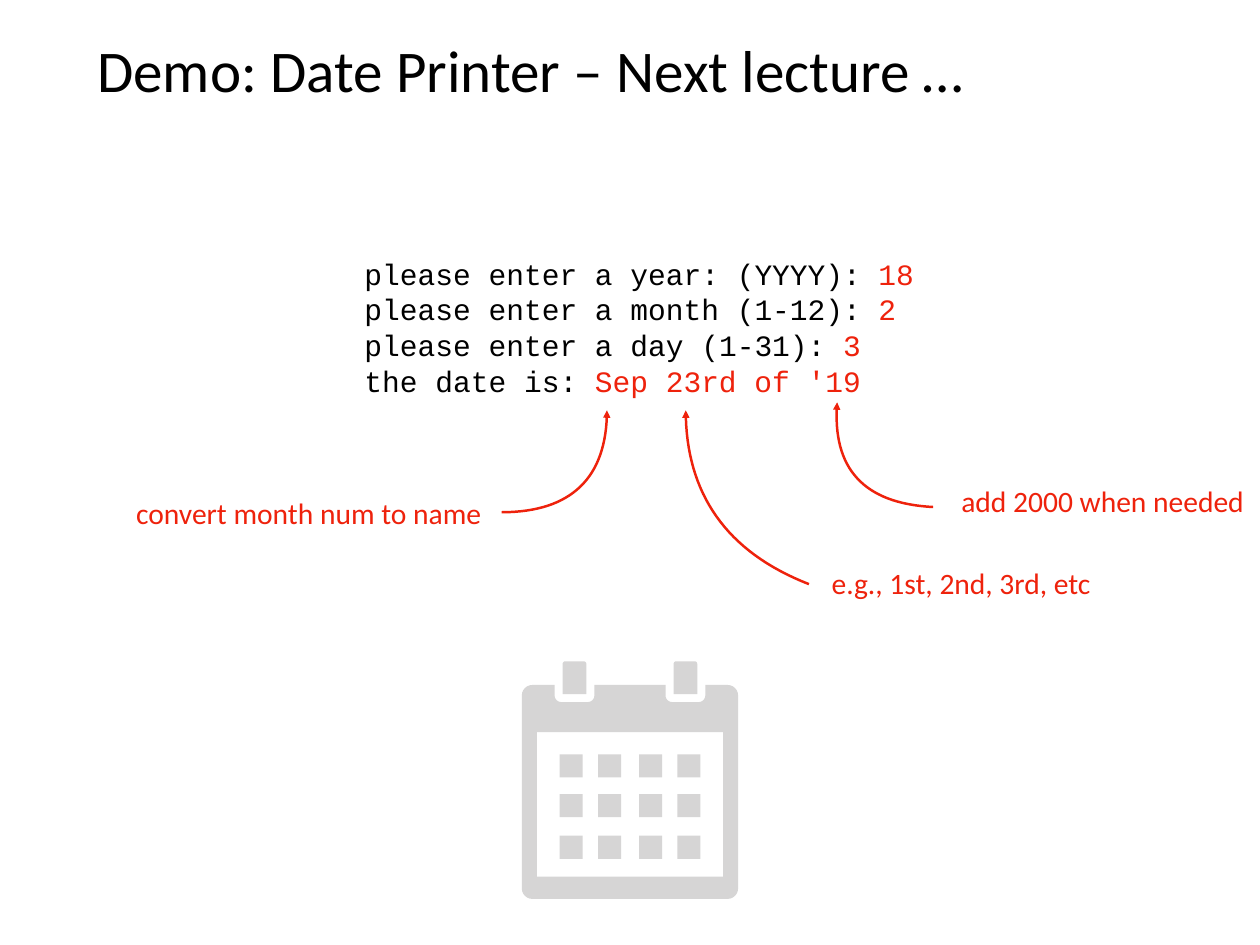
from math import dist

from lxml import etree
from pptx import Presentation, util as u
from pptx.dml.color import RGBColor
from pptx.enum import text as t
from pptx.oxml import ns

BLACK = RGBColor(0x00, 0x00, 0x00)
RED = RGBColor(0xEE, 0x22, 0x0C)
GRAY = RGBColor(0xD6, 0xD5, 0xD5)

PROMPTS = [
    ("please enter a year: (YYYY): ", "18"),
    ("please enter a month (1-12): ", "2"),
    ("please enter a day (1-31): ", "3"),
    ("the date is: ", "Sep 23rd of '19"),
]
LABELS = [
    ("add 2000 when needed", 26.82, 13.69, 9.58),
    ("convert month num to name", 2.97, 14.05, 11.76),
    ("e.g., 1st, 2nd, 3rd, etc", 23.16, 16.05, 8.79),
]
ARROWS = [
    [(26.75, 14.53), (24.77, 14.43), (23.85, 13.44), (24, 11.53)],
    [(14.38, 14.68), (16.38, 14.68), (17.4, 13.69), (17.4, 11.76)],
    [(23.19, 16.74), (20.83, 15.82), (19.66, 14.15), (19.66, 11.76)],
]


def write(frame, lines, size=24, font="Calibri", colors=(BLACK,),
          align=t.PP_ALIGN.LEFT, anchor=t.MSO_ANCHOR.MIDDLE, pitch=None):
    frame.margin_left = frame.margin_right = u.Cm(0.15)
    frame.margin_top = frame.margin_bottom = u.Cm(0.15)
    frame.vertical_anchor = anchor
    for i, line in enumerate(lines):
        para = frame.add_paragraph() if i else frame.paragraphs[0]
        para.alignment = align
        if pitch:
            para.line_spacing = u.Pt(pitch)
        for words, color in zip(line, colors):
            run = para.add_run()
            run.text = words
            run.font.size = u.Pt(size)
            run.font.name = font
            run.font.color.rgb = color


def add_text(slide, box, lines, **style):
    frame = slide.shapes.add_textbox(*map(u.Cm, box)).text_frame
    frame.word_wrap = False
    frame.auto_size = t.MSO_AUTO_SIZE.SHAPE_TO_FIT_TEXT
    write(frame, lines, **style)


def bezier(a, b, c, d, steps):
    points = []
    for i in range(steps + 1):
        s = i / steps
        r = 1 - s
        points.append(tuple(
            r**3 * p + 3 * r * r * s * q + 3 * r * s * s * v + s**3 * w
            for p, q, v, w in zip(a, b, c, d)))
    return points


def toward(start, end, gap):
    part = gap / dist(start, end)
    return tuple(p + (q - p) * part for p, q in zip(start, end))


def outline(corners):
    points = []
    for i, (x, y, radius) in enumerate(corners):
        here = (x, y)
        if not radius:
            points.append(here)
            continue
        last = corners[i - 1][:2]
        after = corners[(i + 1) % len(corners)][:2]
        ends = [toward(here, p, radius) for p in (last, after)]
        pulls = [toward(here, p, radius * 0.45) for p in (last, after)]
        points += bezier(ends[0], *pulls, ends[1], 6)
    return points


def rect(x, y, width, height, top=0):
    return outline([(x, y, top), (x + width, y, top),
                    (x + width, y + height, 0), (x, y + height, 0)])


def draw(slide, paths, close):
    build = None
    for points in paths:
        first, *rest = [tuple(map(u.Cm, p)) for p in points]
        if build is None:
            build = slide.shapes.build_freeform(*first)
        else:
            build.move_to(*first)
        build.add_line_segments(rest, close=close)
    shape = build.convert_to_shape()
    shape.shadow.inherit = False
    return shape


def add_arrow(slide, curve):
    shape = draw(slide, [bezier(*curve, 32)], False)
    shape.fill.background()
    shape.line.color.rgb = RED
    shape.line.width = u.Pt(2)
    line = shape.element.spPr.find(ns.qn("a:ln"))
    etree.SubElement(line, ns.qn("a:tailEnd"), type="triangle")


def notch(x):
    left, right = x - 0.23, x + 0.91
    return [(left, 19.63, 0), (left, 20.12, 0.19),
            (right, 20.12, 0.19), (right, 19.63, 0)]


def add_month(slide):
    rings = (16.13, 19.31)
    body = [(14.96, 19.63, 0.3), *notch(rings[0]), *notch(rings[1]),
            (21.16, 19.63, 0.3), (21.16, 25.76, 0.3), (14.96, 25.76, 0.3)]
    paths = [rect(x, 18.95, 0.68, 0.94, top=0.08) for x in rings]
    paths += [outline(body), rect(15.39, 20.98, 5.34, 4.14)]
    paths += [rect(x, y, 0.66, 0.66) for y in (21.62, 22.76, 23.95)
              for x in (16.04, 17.15, 18.32, 19.42)]
    shape = draw(slide, paths, True)
    shape.fill.solid()
    shape.fill.fore_color.rgb = GRAY
    shape.line.fill.background()


def add_title(slide, words):
    title = slide.shapes.title
    title.left, title.top, title.width, title.height = map(
        u.Cm, (2.64, 0.71, 30.84, 2.51))
    title.text_frame.auto_size = t.MSO_AUTO_SIZE.NONE
    write(title.text_frame, [(words,)], size=48)


def main():
    deck = Presentation()
    deck.slide_width, deck.slide_height = u.Cm(36.12), u.Cm(27.08)
    slide = deck.slides.add_slide(deck.slide_layouts[5])
    add_title(slide, "Demo: Date Printer – Next lecture …")
    add_text(slide, (10.3, 7.17, 16.3, 4.34), PROMPTS, font="Courier New",
             colors=(BLACK, RED), anchor=t.MSO_ANCHOR.TOP, pitch=29)
    for curve, (words, left, top, width) in zip(ARROWS, LABELS):
        add_arrow(slide, curve)
        add_text(slide, (left, top, width, 1.3), [(words,)],
                 colors=(RED,), align=t.PP_ALIGN.CENTER)
    add_month(slide)
    deck.save("out.pptx")


if __name__ == "__main__":
    main()
